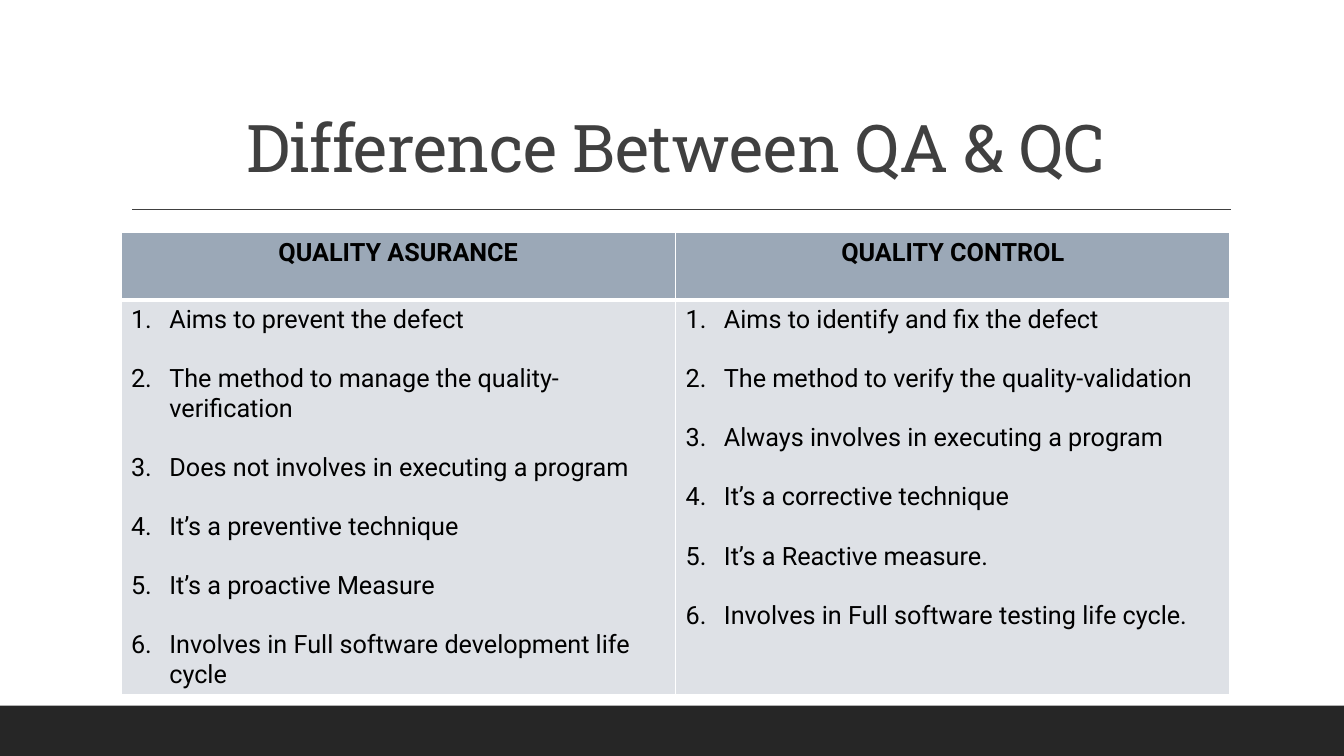
import pptx
import pptx.dml.color
import pptx.enum.shapes
import pptx.enum.text
import pptx.oxml
import pptx.oxml.ns
import pptx.util
from pptx.util import Inches

RGB = pptx.dml.color.RGBColor.from_string
Pt = pptx.util.Pt
ALIGN = pptx.enum.text.PP_ALIGN
NS = pptx.oxml.ns.nsdecls("a")
COLORS = {"bar": "262626", "title": "404040", "text": "000000",
          "header": "9BA8B7", "body": "DEE1E6", "border": "FFFFFF"}
COLUMNS = {
    "QUALITY ASURANCE": [
        "Aims to prevent the defect",
        "The method to manage the quality-verification",
        "Does not involves in executing a program",
        "It’s a preventive technique",
        "It’s a proactive Measure",
        "Involves in Full software development life cycle",
    ],
    "QUALITY CONTROL": [
        "Aims to identify and fix the defect",
        "The method to verify the quality-validation",
        "Always involves in executing a program",
        "It’s a corrective technique",
        "It’s a Reactive measure.",
        "Involves in Full software testing life cycle.",
    ],
}


def add_run(p, text, color, **font):
    r = p.add_run()
    r.text = text
    r.font.color.rgb = RGB(COLORS[color])
    for name, value in font.items():
        setattr(r.font, name, value)
    return r


def style_cell(cell, fill, widths):
    """Fill a cell and draw its borders; widths maps each side to points."""
    cell.fill.solid()
    cell.fill.fore_color.rgb = RGB(COLORS[fill])
    tcPr = cell._tc.get_or_add_tcPr()
    for i, (side, width) in enumerate(widths.items()):
        tcPr.insert(i, pptx.oxml.parse_xml(
            f'<a:ln{side} {NS} w="{Pt(width)}"><a:solidFill>'
            f'<a:srgbClr val="{COLORS["border"]}"/></a:solidFill></a:ln{side}>'))


prs = pptx.Presentation()
prs.slide_width, prs.slide_height = Inches(13.33), Inches(7.5)
s = prs.slides.add_slide(prs.slide_layouts[5])

# Title
title = s.shapes.title
title.left, title.top = Inches(1.2), Inches(0.31)
title.width, title.height = Inches(11), Inches(1.59)
tf = title.text_frame
tf.auto_size = pptx.enum.text.MSO_AUTO_SIZE.NONE
tf.vertical_anchor = pptx.enum.text.MSO_ANCHOR.BOTTOM
p = tf.paragraphs[0]
p.alignment = ALIGN.CENTER
p.line_spacing = 0.9
r = add_run(p, "Difference Between QA & QC", "title", name="Roboto Slab", size=Pt(47))
r._r.get_or_add_rPr().set("spc", "-50")

# Footer bar and rule under the title
bar = s.shapes.add_shape(pptx.enum.shapes.MSO_SHAPE.RECTANGLE,
                         0, Inches(7), prs.slide_width, Inches(0.5))
bar.shadow.inherit = False
bar.fill.solid()
bar.fill.fore_color.rgb = RGB(COLORS["bar"])
bar.line.fill.background()

rule = s.shapes.add_connector(pptx.enum.shapes.MSO_CONNECTOR.STRAIGHT,
                              Inches(1.31), Inches(2.08), Inches(12.21), Inches(2.08))
rule.line.color.rgb = RGB(COLORS["title"])
rule.line.width = Pt(1)
rule._element.spPr.append(pptx.oxml.parse_xml(f"<a:effectLst {NS}/>"))

# Comparison table
table = s.shapes.add_table(2, len(COLUMNS), Inches(1.2), Inches(2.31),
                           Inches(11), Inches(4.58)).table
table.rows[0].height, table.rows[1].height = Inches(0.67), Inches(3.91)

for col, (heading, points) in enumerate(COLUMNS.items()):
    table.columns[col].width = Inches(5.5)
    header, body = table.cell(0, col), table.cell(1, col)
    style_cell(header, "header", {"L": 1, "R": 1, "T": 1, "B": 3})
    style_cell(body, "body", {"L": 1, "R": 1, "T": 3, "B": 1})

    p = header.text_frame.paragraphs[0]
    p.alignment = ALIGN.CENTER
    add_run(p, heading, "text", name="Roboto", size=Pt(18), bold=True)

    tf = body.text_frame
    for i, point in enumerate(points):
        p = tf.add_paragraph() if i else tf.paragraphs[0]
        p.space_before = Pt(21.1 if i else 0)
        pPr = p._p.get_or_add_pPr()
        pPr.set("marL", str(Inches(0.38)))
        pPr.set("indent", str(-Inches(0.38)))
        pPr.append(pptx.oxml.parse_xml(f'<a:buFont {NS} typeface="+mj-lt"/>'))
        pPr.append(pptx.oxml.parse_xml(f'<a:buAutoNum {NS} type="arabicPeriod"/>'))
        add_run(p, point, "text", name="Roboto", size=Pt(18), bold=False)

prs.save("out.pptx")
